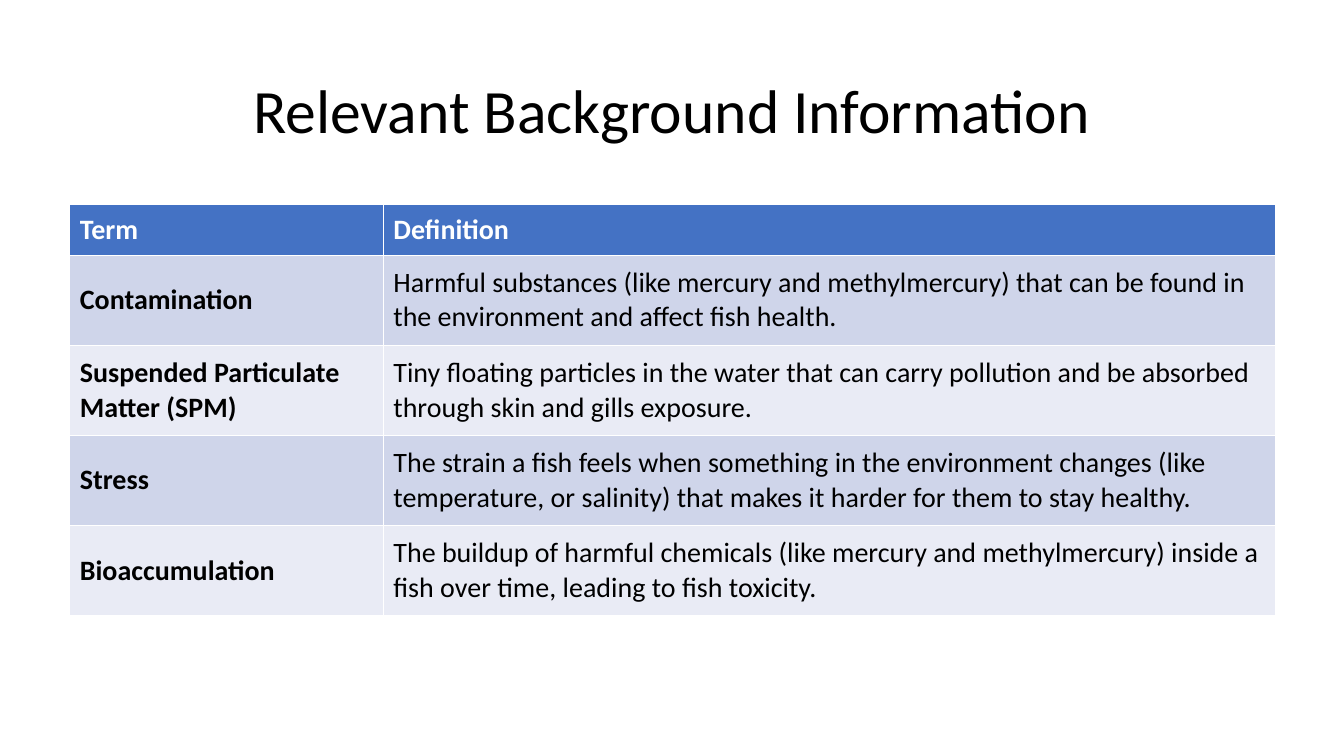
"""Build a slide with a table of background terms and their definitions."""
from pptx import Presentation
from pptx.dml.color import RGBColor
from pptx.enum.text import MSO_ANCHOR as Anchor, PP_ALIGN as Align
from pptx.util import Cm, Pt

BLACK = RGBColor(0x00, 0x00, 0x00)
WHITE = RGBColor(0xFF, 0xFF, 0xFF)
HEADER_BLUE = RGBColor(0x44, 0x72, 0xC4)
BAND_DARK = RGBColor(0xCF, 0xD5, 0xEA)
BAND_LIGHT = RGBColor(0xE9, 0xEB, 0xF5)
FONT = "Calibri"

ROWS = [
    ("Term", "Definition"),
    ("Contamination",
     "Harmful substances (like mercury and methylmercury) that can be found in "
     "the environment and affect fish health."),
    ("Suspended Particulate Matter (SPM)",
     "Tiny floating particles in the water that can carry pollution and be absorbed "
     "through skin and gills exposure."),
    ("Stress",
     "The strain a fish feels when something in the environment changes (like "
     "temperature, or salinity) that makes it harder for them to stay healthy."),
    ("Bioaccumulation",
     "The buildup of harmful chemicals (like mercury and methylmercury) inside a "
     "fish over time, leading to fish toxicity."),
]
TERM_WIDTH, DEFINITION_WIDTH = Cm(7.9), Cm(22.48)
HEADER_HEIGHT, ROW_HEIGHT = Cm(1.27), Cm(2.27)


def style_font(paragraph, size, color, bold=False):
    """Set the font of a whole paragraph."""
    font = paragraph.font
    font.name, font.size, font.bold = FONT, Pt(size), bold
    font.color.rgb = color


presentation = Presentation()
presentation.slide_width, presentation.slide_height = Cm(33.87), Cm(19.05)
slide = presentation.slides.add_slide(presentation.slide_layouts[6])

title_frame = slide.shapes.add_textbox(Cm(2.33), Cm(1.03), Cm(29.21), Cm(3.68)).text_frame
title_frame.word_wrap = True
title_frame.vertical_anchor = Anchor.MIDDLE
title = title_frame.paragraphs[0]
title.text = "Relevant Background Information"
title.alignment = Align.CENTER
title.line_spacing = 0.9
style_font(title, 44, BLACK)

table = slide.shapes.add_table(
    len(ROWS), 2, Cm(1.76), Cm(5.16), TERM_WIDTH + DEFINITION_WIDTH,
    HEADER_HEIGHT + ROW_HEIGHT * (len(ROWS) - 1)).table
table.columns[0].width = TERM_WIDTH
table.columns[1].width = DEFINITION_WIDTH

for row_index, texts in enumerate(ROWS):
    is_header = row_index == 0
    table.rows[row_index].height = HEADER_HEIGHT if is_header else ROW_HEIGHT
    band = BAND_DARK if row_index % 2 else BAND_LIGHT
    for column_index, text in enumerate(texts):
        cell = table.cell(row_index, column_index)
        cell.fill.solid()
        cell.fill.fore_color.rgb = HEADER_BLUE if is_header else band
        cell.vertical_anchor = Anchor.MIDDLE
        cell.text = text
        style_font(cell.text_frame.paragraphs[0], 20, WHITE if is_header else BLACK,
                   bold=is_header or column_index == 0)

presentation.save("out.pptx")
